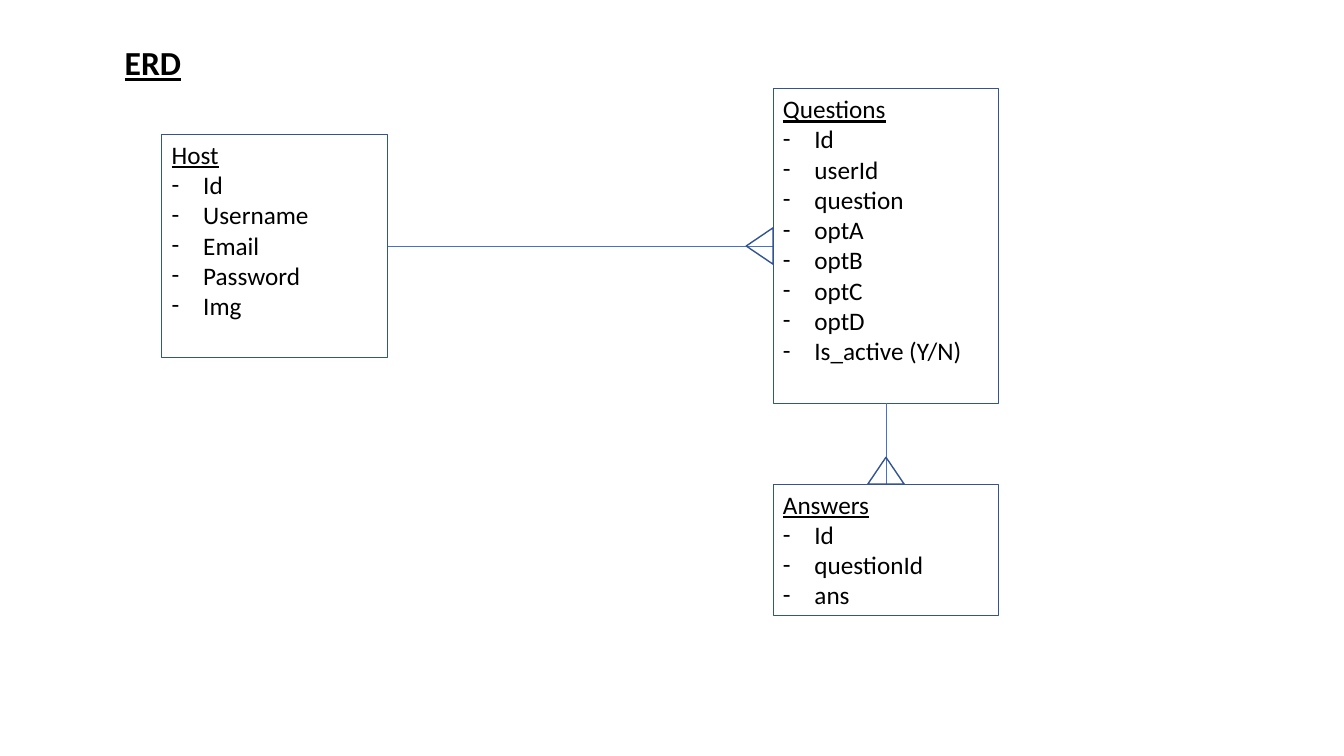
from lxml.etree import SubElement
from pptx import Presentation
from pptx.dml.color import RGBColor
from pptx.enum.shapes import MSO_CONNECTOR, MSO_SHAPE
from pptx.enum.text import MSO_ANCHOR, PP_ALIGN
from pptx.oxml.ns import qn
from pptx.util import Pt

COLORS = {"text": "000000", "outline": "325491", "relation": "4472C4"}
HEADING = {"name": "Calibri", "size": Pt(24), "bold": True, "underline": True}
ENTITY_NAME = {"name": "Calibri", "size": Pt(18), "underline": True}
FIELD = {"name": "Calibri", "size": Pt(18), "underline": False}

ENTITY_WIDTH = 161.3
FOOT_WIDTH, FOOT_HEIGHT = 26, 19.2
FIELD_INDENT = Pt(22.5)

# name: (left, top, height, fields)
ENTITIES = {
    "Host": (115.6, 95.8, 159.8, ["Id", "Username", "Email", "Password", "Img"]),
    "Questions": (552.2, 63.2, 225, ["Id", "userId", "question", "optA", "optB",
                                     "optC", "optD", "Is_active (Y/N)"]),
    "Answers": (552.2, 345.8, 94.2, ["Id", "questionId", "ans"]),
}
# connection sites of a rectangle: 0 top, 1 left, 2 bottom, 3 right
RELATIONS = [("Host", 3, "Questions", 1), ("Questions", 2, "Answers", 0)]


def write(paragraph, text, font_format):
    paragraph.alignment = PP_ALIGN.LEFT
    run = paragraph.add_run()
    run.text = text
    for attribute, value in font_format.items():
        setattr(run.font, attribute, value)
    run.font.color.rgb = RGBColor.from_string(COLORS["text"])


def add_outlined(preset, left, top, width, height, line_width):
    """Add an unfilled preset shape, measured in points."""
    shape = slide.shapes.add_shape(preset, Pt(left), Pt(top), Pt(width), Pt(height))
    shape.shadow.inherit = False
    shape.fill.background()
    shape.line.color.rgb = RGBColor.from_string(COLORS["outline"])
    shape.line.width = Pt(line_width)
    return shape


deck = Presentation()
deck.slide_width, deck.slide_height = Pt(960), Pt(540)
slide = deck.slides.add_slide(deck.slide_layouts[6])

heading = slide.shapes.add_textbox(Pt(82), Pt(26.6), Pt(171.4), Pt(36))
heading.text_frame.word_wrap = True
write(heading.text_frame.paragraphs[0], "ERD", HEADING)

boxes = {}
for entity, (left, top, height, fields) in ENTITIES.items():
    box = add_outlined(MSO_SHAPE.RECTANGLE, left, top, ENTITY_WIDTH, height, 0.75)
    boxes[entity] = box
    frame = box.text_frame
    frame.word_wrap = True
    frame.vertical_anchor = MSO_ANCHOR.TOP
    write(frame.paragraphs[0], entity, ENTITY_NAME)
    for field in fields:
        paragraph = frame.add_paragraph()
        write(paragraph, field, FIELD)
        properties = paragraph._p.get_or_add_pPr()
        properties.set("marL", str(FIELD_INDENT))
        properties.set("indent", str(-FIELD_INDENT))
        SubElement(properties, qn("a:buFont"), typeface="Calibri")
        SubElement(properties, qn("a:buChar"), char="-")

for parent, parent_site, child, child_site in RELATIONS:
    relation = slide.shapes.add_connector(MSO_CONNECTOR.STRAIGHT, 0, 0, 0, 0)
    relation.begin_connect(boxes[parent], parent_site)
    relation.end_connect(boxes[child], child_site)
    relation.line.color.rgb = RGBColor.from_string(COLORS["relation"])
    relation.line.width = Pt(0.5)
    SubElement(relation._element.spPr, qn("a:effectLst"))

    # The crow's foot rests its base on the child's edge.
    sideways = child_site == 1
    center_x, center_y = relation.end_x.pt, relation.end_y.pt
    if sideways:
        center_x -= FOOT_HEIGHT / 2
    else:
        center_y -= FOOT_HEIGHT / 2
    foot = add_outlined(MSO_SHAPE.ISOSCELES_TRIANGLE, center_x - FOOT_WIDTH / 2,
                        center_y - FOOT_HEIGHT / 2, FOOT_WIDTH, FOOT_HEIGHT, 1)
    foot.rotation = 270 if sideways else 0

deck.save("out.pptx")
